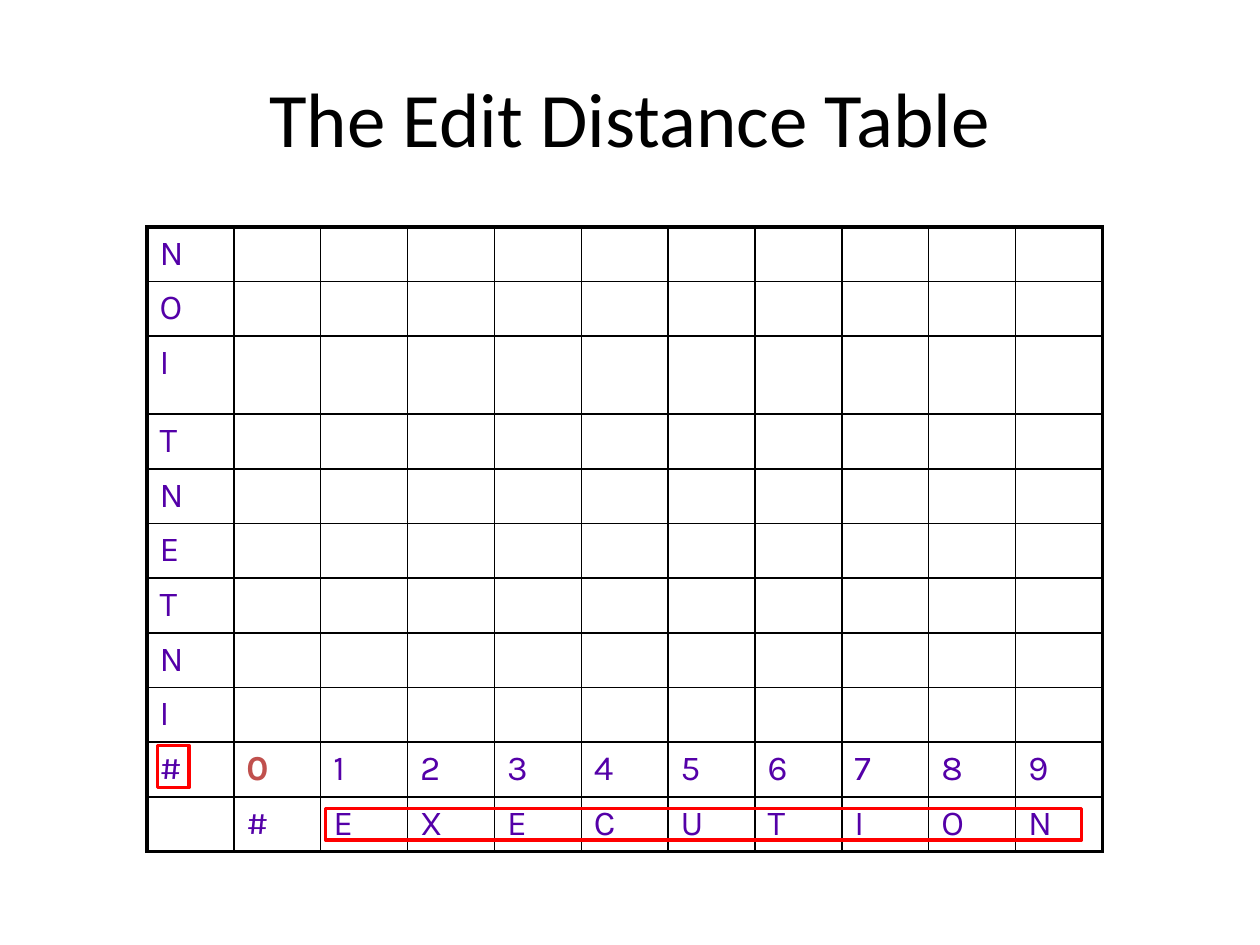
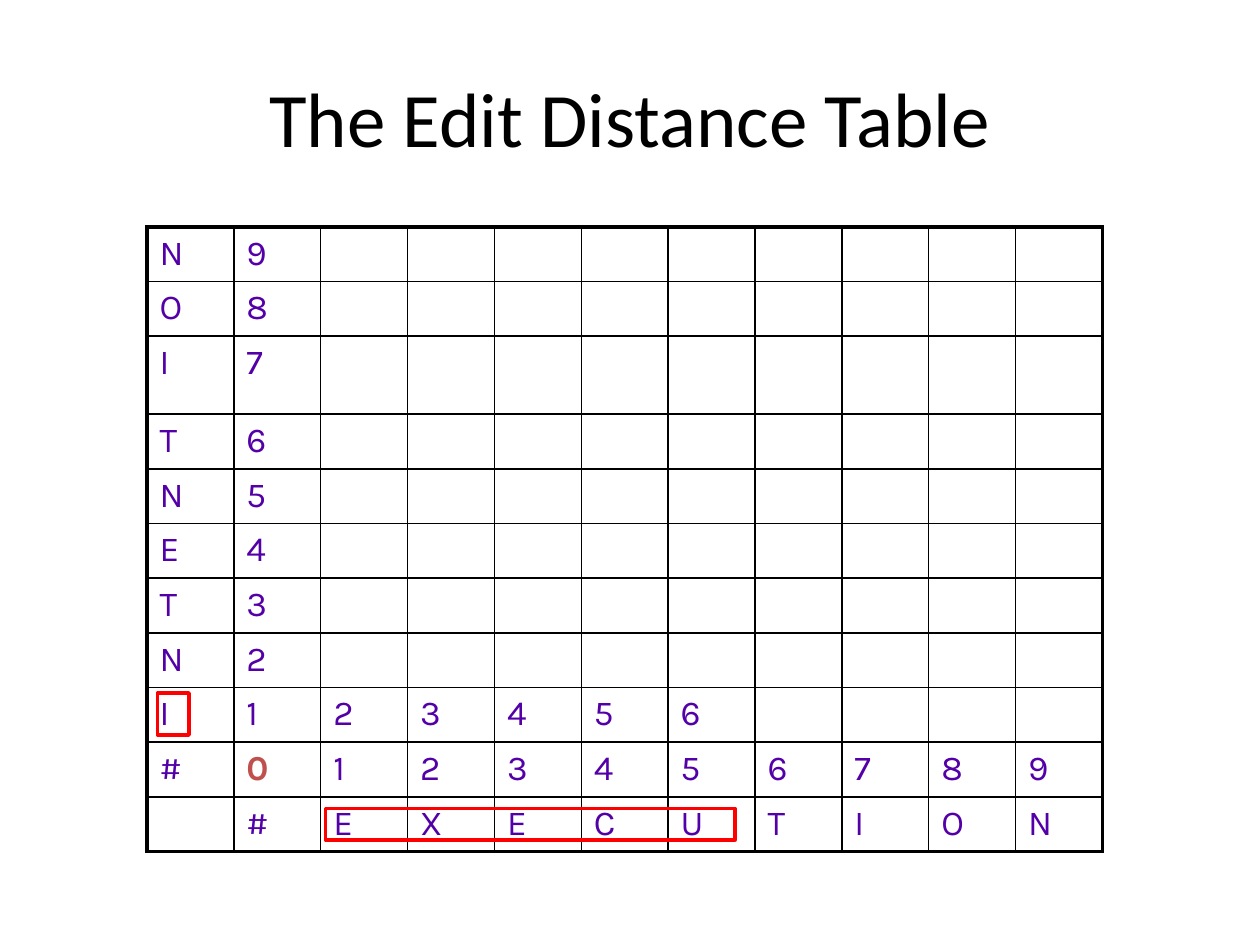
"""Build two slides that fill in the edit distance table for INTENTION and EXECUTION."""
from itertools import zip_longest

from lxml import etree
from pptx import Presentation
from pptx.dml.color import RGBColor
from pptx.enum import shapes, text
from pptx.oxml import ns
from pptx.util import Pt

BLACK = RGBColor(0x00, 0x00, 0x00)
PURPLE = RGBColor(0x54, 0x00, 0xA8)
BRICK = RGBColor(0xC0, 0x50, 0x4D)
RED = RGBColor(0xFF, 0x00, 0x00)

SOURCE = "#INTENTION"
TARGET = "#EXECUTION"
SIZE = len(TARGET) + 1
ROW_HEIGHT, TALL_ROW_HEIGHT, TALL_ROW = 31.2, 44.6, 2
TABLE_WIDTH = 546
THIN, THICK = 1, 2.25


def write(tf, content, size=20, font="Karla", color=PURPLE, bold=False, align=None):
    p = tf.paragraphs[0]
    p.alignment = align
    r = p.add_run()
    r.text = content
    r.font.size = Pt(size)
    r.font.name = font
    r.font.color.rgb = color
    r.font.bold = bold


def add_border(cell, side, width):
    tc_pr = cell._tc.get_or_add_tcPr()
    ln = etree.SubElement(tc_pr, ns.qn(f"a:ln{side}"), w=str(Pt(width)))
    fill = etree.SubElement(ln, ns.qn("a:solidFill"))
    etree.SubElement(fill, ns.qn("a:srgbClr"), val=str(BLACK))


def distance_rows(distances):
    """Return the table rows, top first, for distances listed from the # row upwards."""
    rows = [[letter, *values] for letter, values in zip_longest(SOURCE, distances, fillvalue="")]
    return rows[::-1] + [["", *TARGET]]


class Deck:
    def __init__(self):
        self.prs = Presentation()
        self.prs.slide_width, self.prs.slide_height = Pt(720), Pt(540)
        self.s = None

    def slide(self, title):
        self.s = self.prs.slides.add_slide(self.prs.slide_layouts[6])
        self.title(title)

    def title(self, content):
        tf = self.s.shapes.add_textbox(Pt(36), Pt(21.6), Pt(648), Pt(90)).text_frame
        tf.word_wrap = True
        tf.vertical_anchor = text.MSO_ANCHOR.MIDDLE
        write(tf, content, size=44, font="Calibri", color=BLACK, align=text.PP_ALIGN.CENTER)

    def table(self, rows):
        height = ROW_HEIGHT * (SIZE - 1) + TALL_ROW_HEIGHT
        table = self.s.shapes.add_table(
            SIZE, SIZE, Pt(84), Pt(129.6), Pt(TABLE_WIDTH), Pt(height)).table
        table.first_row = table.horz_banding = False
        for column in table.columns:
            column.width = Pt(TABLE_WIDTH / SIZE)
        for i, row in enumerate(rows):
            table.rows[i].height = Pt(TALL_ROW_HEIGHT if i == TALL_ROW else ROW_HEIGHT)
            for j in range(SIZE):
                self.cell(table.cell(i, j), i, j, row[j] if j < len(row) else "")

    def cell(self, cell, i, j, content):
        last = SIZE - 1
        edges = {"L": j == 0, "R": j == last, "T": i == 0, "B": i == last}
        for side, outer in edges.items():
            add_border(cell, side, THICK if outer else THIN)
        cell.fill.background()
        if content:
            start = content == "0"
            write(cell.text_frame, content, color=BRICK if start else PURPLE, bold=start)

    def mark(self, left, top, width, height):
        sp = self.s.shapes.add_shape(
            shapes.MSO_SHAPE.RECTANGLE, Pt(left), Pt(top), Pt(width), Pt(height))
        sp.shadow.inherit = False
        sp.fill.background()
        sp.line.color.rgb = RED
        sp.line.width = Pt(2)


def main():
    base = "0123456789"
    steps = [
        ([base], 426, 432),
        ([base, "123456", *base[2:]], 396, 234),
    ]
    deck = Deck()
    for distances, source_top, target_width in steps:
        deck.slide("The Edit Distance Table")
        deck.table(distance_rows(distances))
        deck.mark(90, source_top, 18, 24)
        deck.mark(186, 462, target_width, 18)
    deck.prs.save("out.pptx")


if __name__ == "__main__":
    main()
